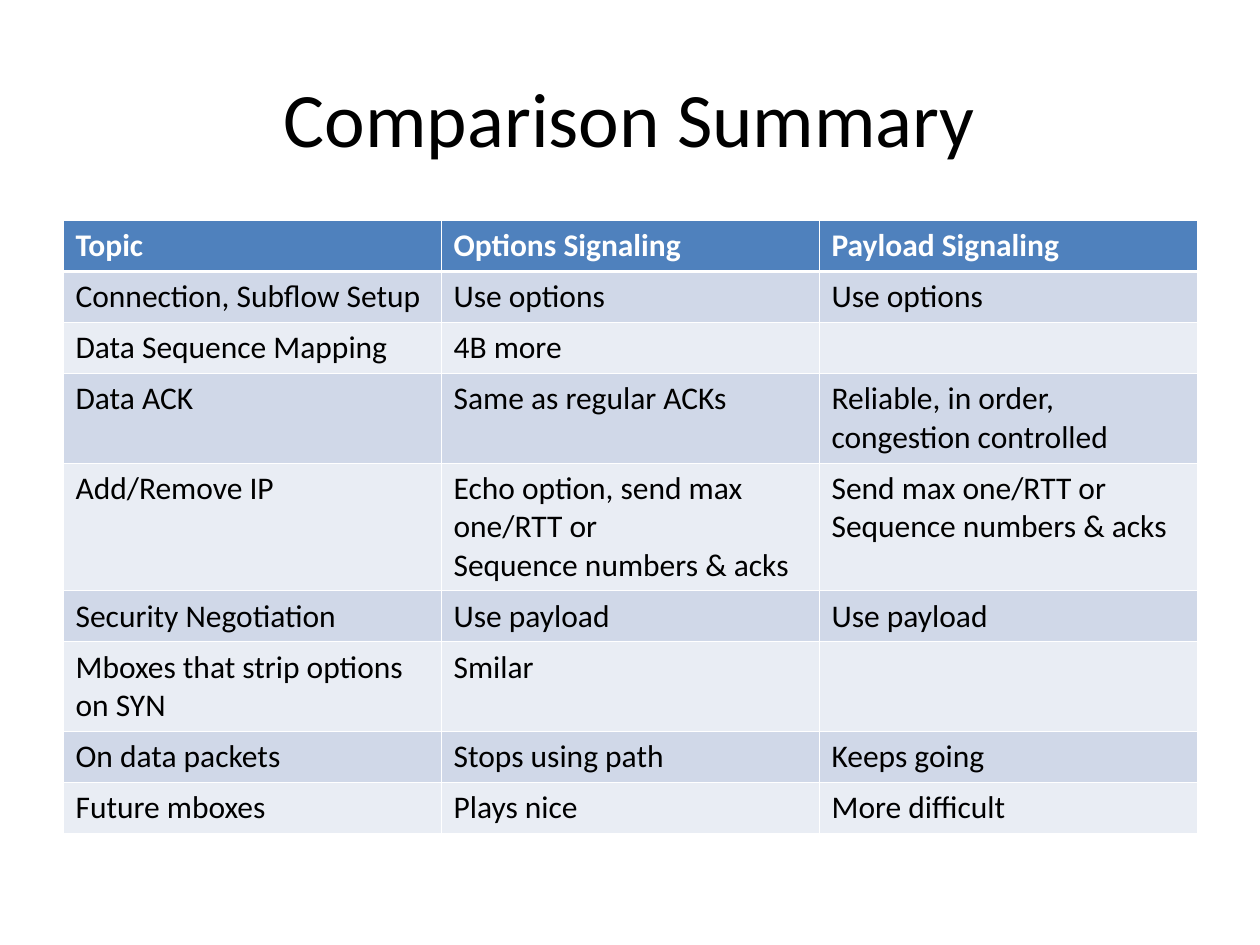
from dataclasses import dataclass

from lxml import etree
from pptx import Presentation
from pptx.dml.color import RGBColor
from pptx.enum.text import MSO_ANCHOR, PP_ALIGN
from pptx.oxml.ns import qn
from pptx.util import Inches, Pt

CENTER = PP_ALIGN.CENTER
MIDDLE = MSO_ANCHOR.MIDDLE
BLANK_LAYOUT = 6


@dataclass(frozen=True)
class Theme:
    font: str = "Calibri"
    title_size: int = 44
    table_size: int = 18
    text: str = "000000"
    header_text: str = "FFFFFF"
    header_fill: str = "4F81BD"
    bands: tuple = ("D0D8E8", "E9EDF4")
    rule: str = "FFFFFF"
    thin: float = 0.45
    thick: float = 1.47


THEME = Theme()
SLIDE_WIDTH, SLIDE_HEIGHT = Inches(10), Inches(7.5)
MARGIN = int(SLIDE_WIDTH * 0.05)
CONTENT_WIDTH = SLIDE_WIDTH - 2 * MARGIN
LINE_HEIGHT, ROW_PADDING = Inches(0.305), Inches(0.1)

COMPARISON = [
    ("Topic", "Options Signaling", "Payload Signaling"),
    ("Connection, Subflow Setup", "Use options", "Use options"),
    ("Data Sequence Mapping", "4B more", ""),
    ("Data ACK", "Same as regular ACKs", "Reliable, in order, congestion controlled"),
    ("Add/Remove IP",
     "Echo option, send max one/RTT or\nSequence numbers & acks",
     "Send max one/RTT or\nSequence numbers & acks"),
    ("Security Negotiation", "Use payload", "Use payload"),
    ("Mboxes that strip options on SYN", "Smilar", ""),
    ("On data packets", "Stops using path", "Keeps going"),
    ("Future mboxes", "Plays nice", "More difficult"),
]
LINES_PER_ROW = (1, 1, 1, 2, 3, 1, 2, 1, 1)


def style_text(frame, size, color, bold=False):
    for paragraph in frame.paragraphs:
        for run in paragraph.runs:
            run.font.name = THEME.font
            run.font.size = Pt(size)
            run.font.bold = bold
            run.font.color.rgb = RGBColor.from_string(color)


def add_title(slide, title):
    top, height = int(SLIDE_HEIGHT * 0.04), int(SLIDE_HEIGHT / 6)
    frame = slide.shapes.add_textbox(MARGIN, top, CONTENT_WIDTH, height).text_frame
    frame.word_wrap = True
    frame.vertical_anchor = MIDDLE
    frame.text = title
    frame.paragraphs[0].alignment = CENTER
    style_text(frame, THEME.title_size, THEME.text)


def set_borders(cell, top, bottom):
    """Rule all four sides; the side rules are always thin."""
    properties = cell._tc.get_or_add_tcPr()
    widths = {"a:lnL": THEME.thin, "a:lnR": THEME.thin, "a:lnT": top, "a:lnB": bottom}
    for position, (tag, width) in enumerate(widths.items()):
        line = etree.Element(qn(tag), w=str(Pt(width)))
        fill = etree.SubElement(line, qn("a:solidFill"))
        etree.SubElement(fill, qn("a:srgbClr"), val=THEME.rule)
        properties.insert(position, line)


def fill_cell(cell, text, row):
    is_header = row == 0
    fill = THEME.header_fill if is_header else THEME.bands[(row - 1) % 2]
    cell.fill.solid()
    cell.fill.fore_color.rgb = RGBColor.from_string(fill)
    set_borders(cell,
                top=THEME.thick if row == 1 else THEME.thin,
                bottom=THEME.thick if is_header else THEME.thin)
    cell.text_frame.text = text
    color = THEME.header_text if is_header else THEME.text
    style_text(cell.text_frame, THEME.table_size, color, bold=is_header)


def add_comparison_table(slide, rows, lines_per_row):
    heights = [ROW_PADDING + LINE_HEIGHT * lines for lines in lines_per_row]
    table = slide.shapes.add_table(
        len(rows), len(rows[0]),
        MARGIN, Inches(1.75), CONTENT_WIDTH, sum(heights)).table
    for row, (texts, height) in enumerate(zip(rows, heights)):
        table.rows[row].height = height
        for column, text in enumerate(texts):
            fill_cell(table.cell(row, column), text, row)


def main():
    deck = Presentation()
    deck.slide_width, deck.slide_height = SLIDE_WIDTH, SLIDE_HEIGHT
    slide = deck.slides.add_slide(deck.slide_layouts[BLANK_LAYOUT])
    add_title(slide, "Comparison Summary")
    add_comparison_table(slide, COMPARISON, LINES_PER_ROW)
    deck.save("out.pptx")


if __name__ == "__main__":
    main()
